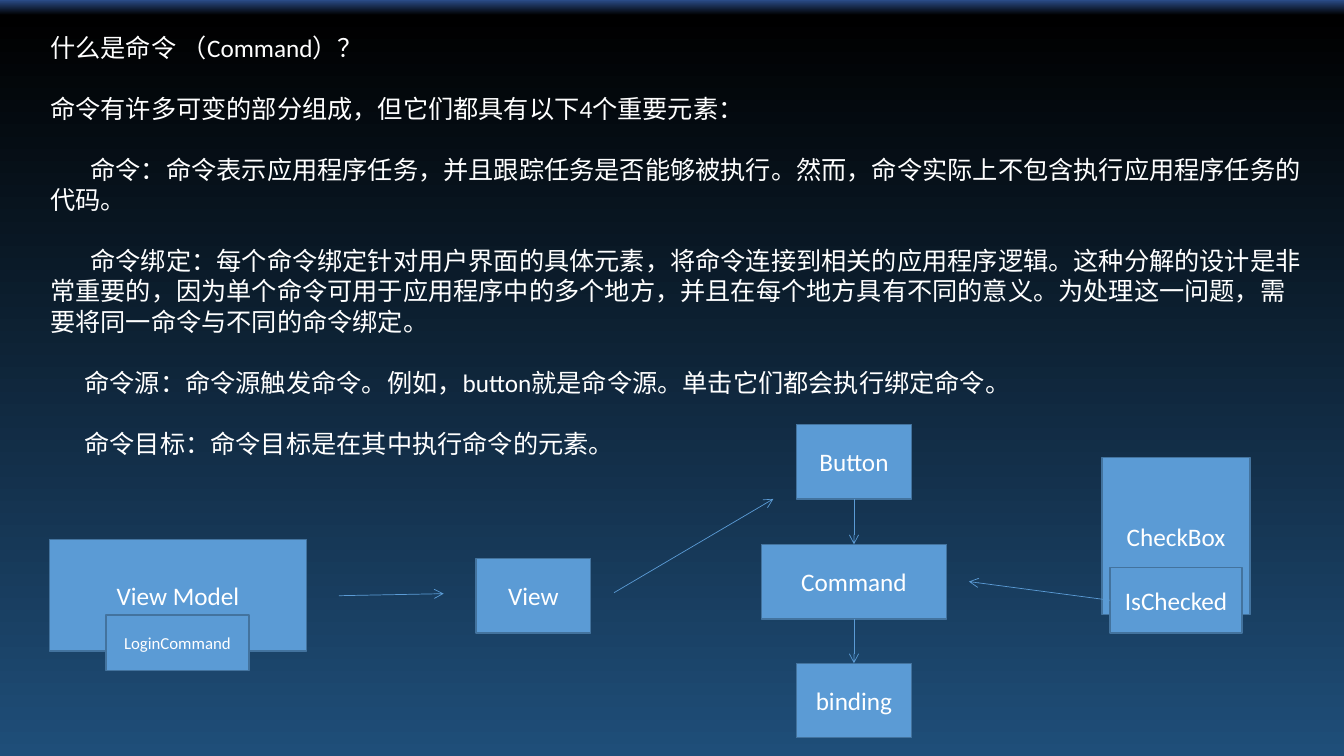
"""Builds a slide explaining the four elements of a command, with a diagram."""
from lxml.etree import SubElement
from pptx import Presentation
from pptx.dml.color import RGBColor
from pptx.enum.shapes import MSO_CONNECTOR, MSO_SHAPE
from pptx.enum.text import MSO_ANCHOR, PP_ALIGN
from pptx.oxml.ns import qn
from pptx.util import Inches, Pt

COLORS = {
    "text": "FFFFFF", "box": "5B9BD5", "border": "43739E",
    "bottom": "1F4E79", "black": "000000", "glow": "2A4B86", "edge": "8FAADC",
}
TOP, LEFT, BOTTOM = 0, 1, 2


class SlideBuilder:
    """Holds the style and the current slide, and draws its elements."""

    font = "Calibri"
    size = 18

    def __init__(self, slide):
        self.slide = slide

    def color(self, name):
        return RGBColor.from_string(COLORS[name])

    def background(self, stops):
        fill = self.slide.background.fill
        fill.gradient()
        fill.gradient_angle = 90
        stop_list = next(self.slide.element.iter(qn("a:gsLst")))
        for default_stop in list(stop_list):
            stop_list.remove(default_stop)
        for percent, name in stops:
            stop = SubElement(stop_list, qn("a:gs"), pos=str(percent * 1000))
            SubElement(stop, qn("a:srgbClr"), val=COLORS[name])

    def style(self, paragraph, size):
        paragraph.font.name = self.font
        paragraph.font.size = Pt(size)
        paragraph.font.color.rgb = self.color("text")

    def text(self, left, top, width, height, paragraphs):
        frame = self.slide.shapes.add_textbox(
            Inches(left), Inches(top), Inches(width), Inches(height)).text_frame
        frame.word_wrap = True
        for number, (indent, words) in enumerate(paragraphs):
            paragraph = frame.add_paragraph() if number else frame.paragraphs[0]
            paragraph.text = words
            paragraph.space_after = Pt(22)
            self.style(paragraph, self.size)
            if indent:
                properties = paragraph._p.get_or_add_pPr()
                properties.set("marL", "0")
                properties.set("indent", str(Inches(indent)))

    def box(self, label, left, top, width=1.14, height=0.74, size=size):
        shape = self.slide.shapes.add_shape(
            MSO_SHAPE.RECTANGLE, Inches(left), Inches(top), Inches(width), Inches(height))
        shape.shadow.inherit = False
        shape.fill.solid()
        shape.fill.fore_color.rgb = self.color("box")
        shape.line.color.rgb = self.color("border")
        shape.line.width = Pt(1)
        frame = shape.text_frame
        frame.word_wrap = True
        frame.vertical_anchor = MSO_ANCHOR.MIDDLE
        paragraph = frame.paragraphs[0]
        paragraph.text = label
        paragraph.alignment = PP_ALIGN.CENTER
        self.style(paragraph, size)
        return shape

    def arrow(self, start=(0, 0), end=(0, 0), source=None, target=None):
        arrow = self.slide.shapes.add_connector(
            MSO_CONNECTOR.STRAIGHT, *map(Inches, start + end))
        if source:
            arrow.begin_connect(*source)
        if target:
            arrow.end_connect(*target)
        arrow.line.color.rgb = self.color("box")
        arrow.line.width = Pt(0.5)
        SubElement(arrow.line._get_or_add_ln(), qn("a:tailEnd"), type="arrow")
        SubElement(arrow._element.spPr, qn("a:effectLst"))


deck = Presentation()
deck.slide_width, deck.slide_height = Inches(13.33), Inches(7.5)
page = SlideBuilder(deck.slides.add_slide(deck.slide_layouts[6]))
page.background([(0, "bottom"), (98, "black"), (100, "glow"), (100, "edge")])

page.text(0.4, 0.27, 12.68, 4.64, [
    (0, "什么是命令 （Command）？"),
    (0, "命令有许多可变的部分组成，但它们都具有以下4个重要元素："),
    (0.4, "命令：命令表示应用程序任务，并且跟踪任务是否能够被执行。"
          "然而，命令实际上不包含执行应用程序任务的代码。"),
    (0.4, "命令绑定：每个命令绑定针对用户界面的具体元素，将命令连接到相关的应用程序逻辑。"
          "这种分解的设计是非常重要的，因为单个命令可用于应用程序中的多个地方，"
          "并且在每个地方具有不同的意义。为处理这一问题，需要将同一命令与不同的命令绑定。"),
    (0.34, "命令源：命令源触发命令。例如，button就是命令源。单击它们都会执行绑定命令。"),
    (0.34, "命令目标：命令目标是在其中执行命令的元素。"),
])

binding = page.box("binding", 7.9, 6.58)
command = page.box("Command", 7.55, 5.4, width=1.84)
button = page.box("Button", 7.9, 4.21)
page.box("View", 4.72, 5.54)
page.box("View Model", 0.49, 5.35, 2.55, 1.11)
page.box("LoginCommand", 1.05, 6.1, 1.42, 0.55, size=12)
page.box("CheckBox", 10.93, 4.54, 1.47, 1.56)
is_checked = page.box("IsChecked", 11.01, 5.63, 1.31, 0.65)

page.arrow((3.36, 5.91), (4.4, 5.89))
page.arrow((6.09, 5.88), (7.67, 4.95))
page.arrow(source=(button, BOTTOM), target=(command, TOP))
page.arrow(source=(command, BOTTOM), target=(binding, TOP))
page.arrow(end=(9.61, 5.77), source=(is_checked, LEFT))

deck.save("out.pptx")
